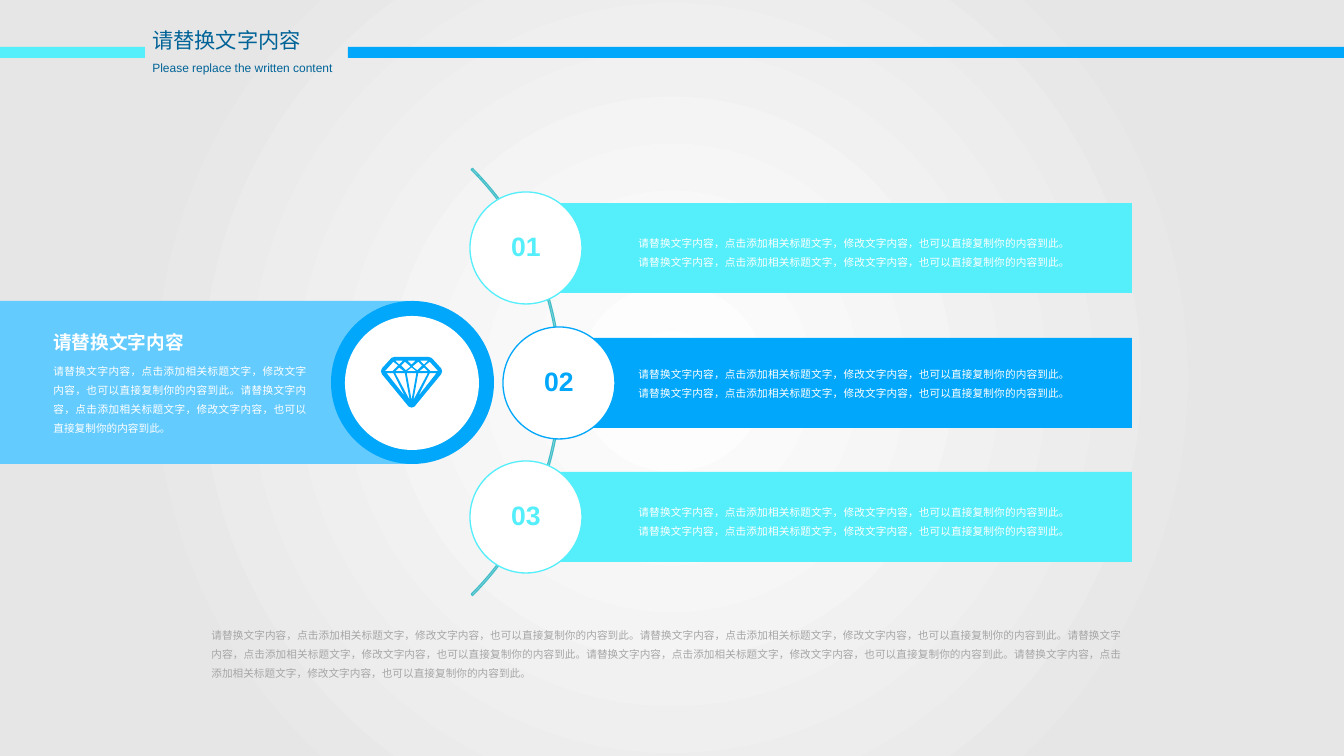
import pptx
import pptx.util
from lxml import etree
from pptx.dml.color import RGBColor
from pptx.enum.shapes import MSO_SHAPE
from pptx.enum.text import MSO_AUTO_SIZE, PP_ALIGN
from pptx.oxml.ns import qn

PX = 9565  # EMU per px
WIDTH, HEIGHT = 1344, 756

WHITE = RGBColor(0xFF, 0xFF, 0xFF)
LIGHT_GRAY = RGBColor(0xE6, 0xE6, 0xE6)
GRAY = RGBColor(0xA6, 0xA6, 0xA6)
BLUE = RGBColor(0x00, 0xA7, 0xFB)
PALE_BLUE = RGBColor(0x64, 0xCB, 0xFF)
DARK_BLUE = RGBColor(0x00, 0x63, 0x97)
CYAN = RGBColor(0x55, 0xEE, 0xFB)
TEAL = RGBColor(0x44, 0xBF, 0xC9)

HEADING = "请替换文字内容"
SENTENCE = "请替换文字内容，点击添加相关标题文字，修改文字内容，也可以直接复制你的内容到此。"

# number, colour, circle centre x and y, top of the text
CARDS = [
    ("01", CYAN, 526, 248, 226),
    ("02", BLUE, 559, 383, 357),
    ("03", CYAN, 526, 517, 495),
]
CARD_RIGHT, CARD_HEIGHT, CIRCLE = 1132, 90, 112

# Diamond on a grid 64 wide and 53 high, left half first
DIAMOND_UNIT = 9144
DIAMOND_WIDTH = 64
DIAMOND_EDGE = [(14, 0), (11, 1), (1, 12), (0, 15), (1, 18), (29, 52), (32, 53)]
LEFT_FACETS = [
    [(13, 5), (18, 9), (12, 15), (4, 15)],
    [(25, 41), (6, 17), (13, 17)],
    [(25, 17), (30, 45), (15, 17)],
    [(19, 11), (24, 15), (15, 15)],
    [(19, 8), (15, 4), (23, 4)],
    [(26, 14), (21, 9), (25, 5), (31, 10)],
]
MIDDLE_FACETS = [
    [(27, 17), (37, 17), (32, 45)],
    [(27, 15), (37, 15), (32, 11)],
    [(28, 4), (36, 4), (32, 8)],
]


def paint(shape, fill=None, line=None):
    shape.shadow.inherit = False
    if fill is None:
        shape.fill.background()
    else:
        shape.fill.solid()
        shape.fill.fore_color.rgb = fill
    if line is None:
        shape.line.fill.background()
    else:
        shape.line.color.rgb = line
        shape.line.width = pptx.util.Pt(1)


def add_shape(page, kind, left, top, width, height, fill=None, line=None):
    shape = page.shapes.add_shape(
        kind, left * PX, top * PX, width * PX, height * PX)
    paint(shape, fill, line)
    return shape


def add_rect(page, left, top, width, height, fill):
    return add_shape(page, MSO_SHAPE.RECTANGLE, left, top, width, height, fill)


def add_circle(page, left, top, size, fill, line=None):
    add_shape(page, MSO_SHAPE.OVAL, left, top, size, size, fill, line)


def add_text(page, left, top, width, height, text, size, color,
             bold=False, align=PP_ALIGN.LEFT, spacing=1.0, wrap=False):
    box = page.shapes.add_textbox(left * PX, top * PX, width * PX, height * PX)
    frame = box.text_frame
    frame.word_wrap = wrap
    frame.auto_size = MSO_AUTO_SIZE.SHAPE_TO_FIT_TEXT
    para = frame.paragraphs[0]
    para.text = text
    para.alignment = align
    para.line_spacing = spacing
    para.font.name = "Arial"
    para.font.size = pptx.util.Pt(size)
    para.font.bold = bold
    para.font.color.rgb = color


def add_body(page, left, top, width, height, repeats, color):
    add_text(page, left, top, width, height, SENTENCE * repeats, 8, color,
             align=PP_ALIGN.JUSTIFY, spacing=1.5, wrap=True)


def add_backdrop(page):
    """Fill the page with a gradient running out from its centre."""
    backdrop = add_rect(page, 0, 0, WIDTH, HEIGHT, WHITE)
    backdrop.fill.gradient()
    stops = backdrop.fill.gradient_stops
    for stop, color, position in zip(stops, (WHITE, LIGHT_GRAY), (0, 0.73)):
        stop.color.rgb = color
        stop.position = position
    gradient = backdrop.element.spPr.find(qn("a:gradFill"))
    gradient.remove(gradient.find(qn("a:lin")))
    radial = etree.SubElement(gradient, qn("a:path"), {"path": "circle"})
    sides = {side: "50000" for side in "ltrb"}
    etree.SubElement(radial, qn("a:fillToRect"), sides)


def mirror(points):
    return [(DIAMOND_WIDTH - x, y) for x, y in reversed(points)]


def add_diamond(page, left, top):
    outline = DIAMOND_EDGE + mirror(DIAMOND_EDGE)
    facets = LEFT_FACETS + [mirror(facet) for facet in LEFT_FACETS]
    builder = page.shapes.build_freeform(*outline[0], scale=DIAMOND_UNIT)
    builder.add_line_segments(outline[1:], close=True)
    for facet in facets + MIDDLE_FACETS:
        builder.move_to(*facet[0])
        builder.add_line_segments(facet[1:], close=True)
    paint(builder.convert_to_shape(left * PX, top * PX), BLUE)


def add_topic(page):
    add_rect(page, 0, 301, 409, 163, PALE_BLUE)
    add_circle(page, 331, 301, 163, BLUE)
    add_circle(page, 345, 316, 134, WHITE)
    add_diamond(page, 381, 357)
    add_text(page, 44, 315, 151, 39, HEADING, 14, WHITE, bold=True, spacing=1.5)
    add_body(page, 44, 354, 272, 87, 2, WHITE)


def add_arc(page):
    arc = add_shape(page, MSO_SHAPE.BLOCK_ARC, -43, 80, 604, 604, line=TEAL)
    for index, value in enumerate((189, 27, 0.003)):
        arc.adjustments[index] = value


def add_card(page, number, color, center_x, center_y, text_top):
    add_rect(page, center_x, center_y - CARD_HEIGHT // 2,
             CARD_RIGHT - center_x, CARD_HEIGHT, color)
    add_circle(page, center_x - CIRCLE // 2, center_y - CIRCLE // 2, CIRCLE,
               WHITE, color)
    add_text(page, center_x - 25, center_y - 23, 50, 42, number, 20, color,
             bold=True, align=PP_ALIGN.CENTER)
    add_body(page, 629, text_top, 440, 46, 2, WHITE)


def add_header(page):
    add_rect(page, 348, 47, WIDTH - 348, 11, BLUE)
    add_rect(page, 0, 47, 145, 11, CYAN)
    add_text(page, 143, 56, 201, 24, "Please replace the written content",
             9, DARK_BLUE)
    add_text(page, 143, 23, 169, 35, HEADING, 16, DARK_BLUE)


def main():
    deck = pptx.Presentation()
    deck.slide_width = WIDTH * PX
    deck.slide_height = HEIGHT * PX
    page = deck.slides.add_slide(deck.slide_layouts[6])
    add_backdrop(page)
    add_topic(page)
    add_arc(page)
    for card in CARDS:
        add_card(page, *card)
    add_body(page, 202, 618, 930, 68, 5, GRAY)
    add_header(page)
    deck.save("out.pptx")


if __name__ == "__main__":
    main()
